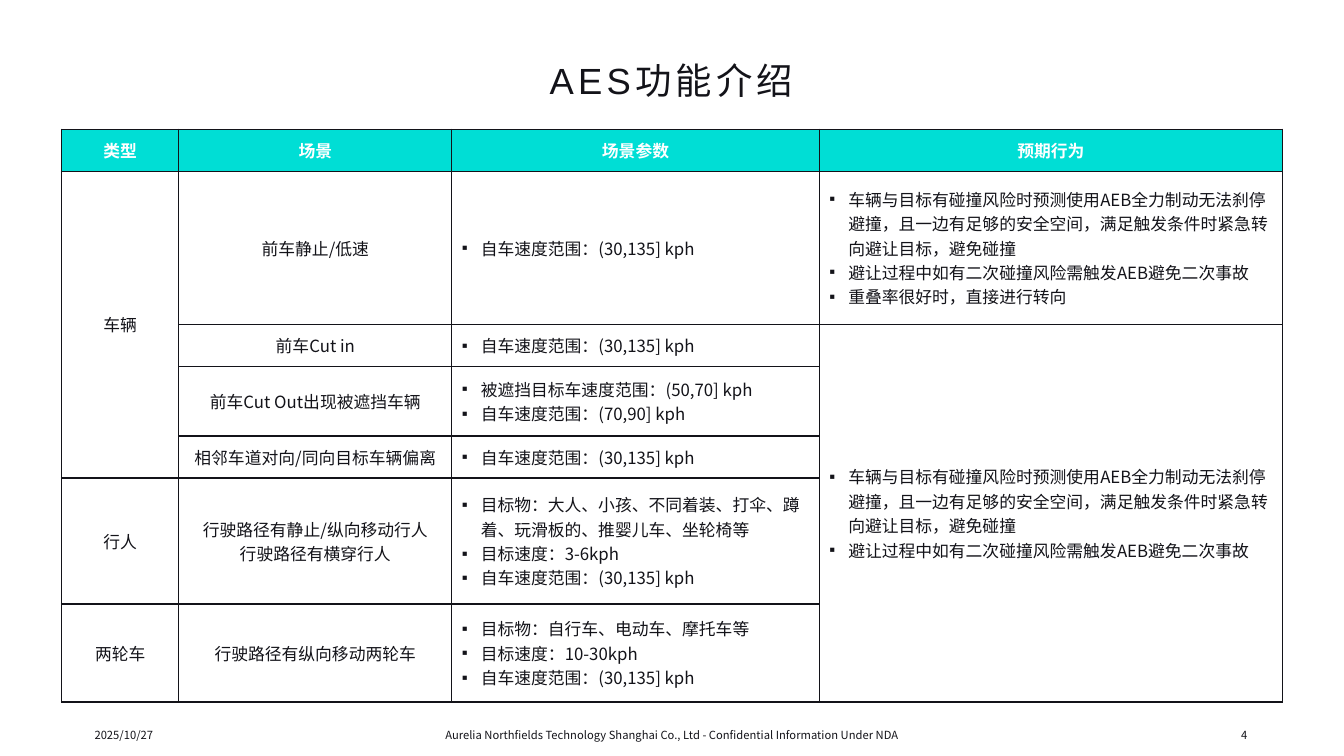
from lxml.etree import SubElement
from pptx import Presentation
from pptx.dml.color import RGBColor
from pptx.enum.text import MSO_ANCHOR, PP_ALIGN
from pptx.oxml import parse_xml
from pptx.oxml.ns import nsdecls, qn
from pptx.util import Pt

INK, WHITE, TEAL = "131319", "FFFFFF", "00DED5"
CJK = "Noto Sans CJK SC"
CENTER, LEFT, RIGHT = PP_ALIGN.CENTER, PP_ALIGN.LEFT, PP_ALIGN.RIGHT

TITLE = "AES功能介绍"
FOOTERS = [
    ("2025/10/27", 60.5, 216, LEFT),
    ("Aurelia Northfields Technology Shanghai Co., Ltd - Confidential Information Under NDA",
     298, 364.5, CENTER),
    ("4", 682, 216, RIGHT),
]
SPEED = "自车速度范围：(30,135] kph"
AVOID = [
    "车辆与目标有碰撞风险时预测使用AEB全力制动无法刹停避撞，且一边有足够的安全空间，满足触发条件时紧急转向避让目标，避免碰撞",
    "避让过程中如有二次碰撞风险需触发AEB避免二次事故",
]
ROWS = [
    (["类型"], ["场景"], ["场景参数"], ["预期行为"]),
    (["车辆"], ["前车静止/低速"], [SPEED], AVOID + ["重叠率很好时，直接进行转向"]),
    ([], ["前车Cut in"], [SPEED], AVOID),
    ([], ["前车Cut Out出现被遮挡车辆"],
     ["被遮挡目标车速度范围：(50,70] kph", "自车速度范围：(70,90] kph"], []),
    ([], ["相邻车道对向/同向目标车辆偏离"], [SPEED], []),
    (["行人"], ["行驶路径有静止/纵向移动行人", "行驶路径有横穿行人"],
     ["目标物：大人、小孩、不同着装、打伞、蹲着、玩滑板的、推婴儿车、坐轮椅等",
      "目标速度：3-6kph", SPEED], []),
    (["两轮车"], ["行驶路径有纵向移动两轮车"],
     ["目标物：自行车、电动车、摩托车等", "目标速度：10-30kph", SPEED], []),
]
MERGES = [((1, 0), (4, 0)), ((2, 3), (6, 3))]
COLUMN_WIDTHS = [83.75, 195, 262.5, 331]
ROW_HEIGHTS = [30, 109.5, 30, 49.75, 30, 90, 70]

TITLE_FORMAT = {"name": "Arial", "size": Pt(26), "bold": False}
FOOTER_FORMAT = {"name": CJK, "size": Pt(8), "bold": False}
HEADER_FORMAT = {"name": CJK, "size": Pt(12), "bold": True}
BODY_FORMAT = {"name": CJK, "size": Pt(12), "bold": False}


def color(value):
    return RGBColor.from_string(value)


def add_bullet(para):
    properties = para._p.get_or_add_pPr()
    properties.set("marL", str(Pt(13.5)))
    properties.set("indent", str(-Pt(13.5)))
    SubElement(properties, qn("a:buFont")).set("typeface", "Arial")
    SubElement(properties, qn("a:buChar")).set("char", "▪")


def write(frame, lines, formats, ink, align, bulleted=False):
    for index, line in enumerate(lines):
        para = frame.paragraphs[0] if index == 0 else frame.add_paragraph()
        para.alignment = align
        if bulleted:
            add_bullet(para)
        span = para.add_run()
        span.text = line
        for name, value in formats.items():
            setattr(span.font, name, value)
        span.font.color.rgb = color(ink)
        SubElement(span._r.get_or_add_rPr(), qn("a:ea")).set("typeface", CJK)


def add_borders(cell):
    properties = cell._tc.get_or_add_tcPr()
    for index, side in enumerate(("lnL", "lnR", "lnT", "lnB")):
        properties.insert(index, parse_xml(
            f'<a:{side} {nsdecls("a")} w="{Pt(1)}"><a:solidFill>'
            f'<a:srgbClr val="{INK}"/></a:solidFill></a:{side}>'))


def add_title(page):
    title = page.shapes.title
    title.left, title.top, title.width, title.height = Pt(61), Pt(38), Pt(837.5), Pt(39)
    title.text_frame.vertical_anchor = MSO_ANCHOR.TOP
    write(title.text_frame, [TITLE], TITLE_FORMAT, INK, CENTER)
    title.text_frame.paragraphs[0].runs[0]._r.get_or_add_rPr().set("spc", "300")


def add_scenarios(page):
    table = page.shapes.add_table(
        len(ROWS), len(COLUMN_WIDTHS), Pt(44), Pt(92.25),
        Pt(sum(COLUMN_WIDTHS)), Pt(sum(ROW_HEIGHTS))).table
    table.horz_banding = False
    for column, width in zip(table.columns, COLUMN_WIDTHS):
        column.width = Pt(width)
    for row, height in zip(table.rows, ROW_HEIGHTS):
        row.height = Pt(height)
    for first, last in MERGES:
        table.cell(*first).merge(table.cell(*last))
    for row_index, row in enumerate(ROWS):
        header = row_index == 0
        for column_index, lines in enumerate(row):
            cell = table.cell(row_index, column_index)
            cell.vertical_anchor = MSO_ANCHOR.MIDDLE
            if header:
                cell.fill.solid()
                cell.fill.fore_color.rgb = color(TEAL)
            else:
                cell.fill.background()
            add_borders(cell)
            bulleted = not header and column_index >= 2
            write(cell.text_frame, lines, HEADER_FORMAT if header else BODY_FORMAT,
                  WHITE if header else INK, LEFT if bulleted else CENTER, bulleted)


def add_footers(page):
    for text, left, width, align in FOOTERS:
        box = page.shapes.add_textbox(Pt(left), Pt(510.5), Pt(width), Pt(29))
        box.text_frame.word_wrap = True
        box.text_frame.vertical_anchor = MSO_ANCHOR.MIDDLE
        write(box.text_frame, [text], FOOTER_FORMAT, INK, align)


def main():
    deck = Presentation()
    deck.slide_width, deck.slide_height = Pt(960), Pt(540)
    page = deck.slides.add_slide(deck.slide_layouts[5])
    add_footers(page)
    add_title(page)
    add_scenarios(page)
    deck.save("out.pptx")


if __name__ == "__main__":
    main()
